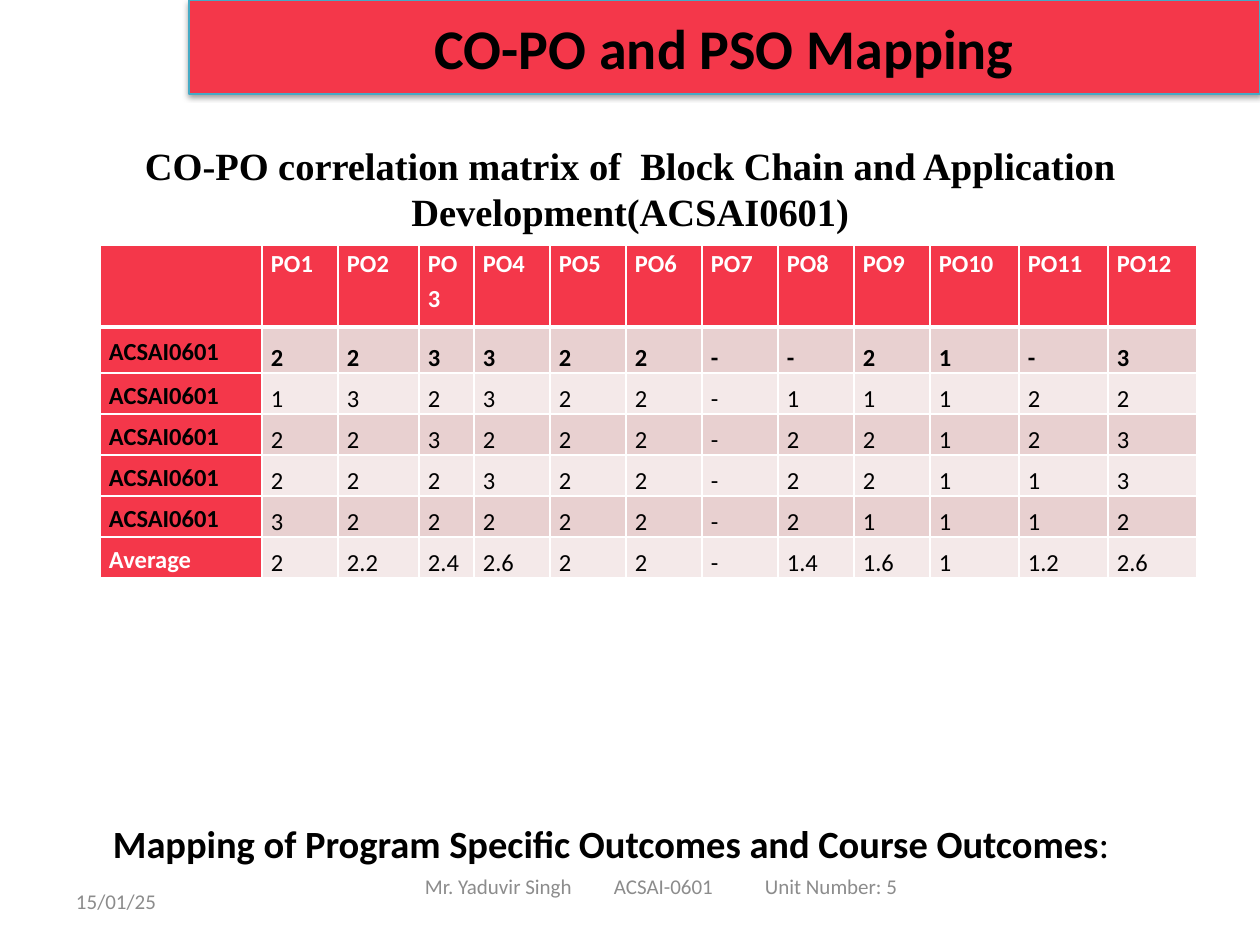
from typing import NamedTuple

from lxml.etree import SubElement
from pptx import Presentation
from pptx.dml.color import RGBColor as Rgb
from pptx.enum.shapes import MSO_SHAPE as Shape
from pptx.enum.text import MSO_ANCHOR as Anchor, PP_ALIGN as Align
from pptx.oxml.ns import qn
from pptx.util import Pt

EMU_PER_PX = 914400 / 126
COLORS = {
    "red": "F4374A", "edge": "46AAC5", "dark_band": "E8D0D0", "light_band": "F4E9E9",
    "white": "FFFFFF", "black": "000000", "gray": "8C8C8C",
}
COLUMN_WIDTHS = [162, 76, 81, 55] + [76] * 6 + [89] * 3
ROW_HEIGHTS = [82, 46] + [41] * 5
COURSE = "ACSAI0601"
HEADER = [""] + [f"PO{n}" for n in range(1, 13)]
MAPPING = [
    (COURSE, "2 2 3 3 2 2 - - 2 1 - 3"),
    (COURSE, "1 3 2 3 2 2 - 1 1 1 2 2"),
    (COURSE, "2 2 3 2 2 2 - 2 2 1 2 3"),
    (COURSE, "2 2 2 3 2 2 - 2 2 1 1 3"),
    (COURSE, "3 2 2 2 2 2 - 2 1 1 1 2"),
    ("Average", "2 2.2 2.4 2.6 2 2 - 1.4 1.6 1 1.2 2.6"),
]


class Box(NamedTuple):
    left: int
    top: int
    width: int
    height: int


class Style(NamedTuple):
    size: int
    color: str = "black"
    bold: bool = False
    font: str = "Calibri"


class Label(NamedTuple):
    box: Box
    runs: list[tuple[str, Style]]
    align: Align = Align.LEFT
    anchor: Anchor = Anchor.TOP
    inset: int = 13
    tabs: tuple[int, ...] = ()


FOOTER = Style(12, "gray")
HEADING = Style(22, bold=True)
LABELS = [
    Label(Box(63, 876, 294, 50), [("15/01/25", FOOTER)], anchor=Anchor.MIDDLE),
    Label(Box(63, 136, 1134, 106),
          [("CO-PO correlation matrix of  Block Chain and Application Development(ACSAI0601)",
            Style(22, bold=True, font="Times New Roman"))], Align.CENTER),
    Label(Box(100, 580, 1097, 292),
          [("Mapping of Program Specific Outcomes and Course Outcomes", HEADING),
           (":", Style(22))], anchor=Anchor.BOTTOM),
    Label(Box(315, 861, 693, 50), [("Mr. Yaduvir Singh\tACSAI-0601\tUnit Number: 5", FOOTER)],
          anchor=Anchor.MIDDLE, inset=110, tabs=(189, 340)),
]


def px(n: int) -> int:
    return round(n * EMU_PER_PX)


def rgb(name: str) -> Rgb:
    return Rgb.from_string(COLORS[name])


def add_run(p, text: str, style: Style) -> None:
    r = p.add_run()
    r.text = text
    r.font.size, r.font.bold, r.font.name = Pt(style.size), style.bold, style.font
    r.font.color.rgb = rgb(style.color)


def add_label(s, label: Label) -> None:
    tf = s.shapes.add_textbox(*map(px, label.box)).text_frame
    tf.word_wrap, tf.vertical_anchor = True, label.anchor
    tf.margin_left = px(label.inset)
    p = tf.paragraphs[0]
    p.alignment = label.align
    if label.tabs:
        stops = SubElement(p._p.get_or_add_pPr(), qn("a:tabLst"))
        for tab in label.tabs:
            SubElement(stops, qn("a:tab"), pos=str(px(tab)), algn="l")
    for text, style in label.runs:
        add_run(p, text, style)


def add_shadow(sp) -> None:
    """Give the shape a soft shadow straight below it."""
    sp.shadow.inherit = False
    effects = sp._element.spPr.find(qn("a:effectLst"))
    shadow = SubElement(effects, qn("a:outerShdw"), blurRad=str(Pt(3.1)), dist=str(Pt(1.6)),
                        dir="5400000", rotWithShape="0")
    color = SubElement(shadow, qn("a:srgbClr"), val=COLORS["black"])
    SubElement(color, qn("a:alpha"), val="38000")


def add_banner(s, box: Box, text: str) -> None:
    sp = s.shapes.add_shape(Shape.RECTANGLE, *map(px, box))
    add_shadow(sp)
    sp.fill.solid()
    sp.fill.fore_color.rgb = rgb("red")
    sp.line.color.rgb, sp.line.width = rgb("edge"), Pt(0.75)
    tf = sp.text_frame
    tf.word_wrap, tf.vertical_anchor = True, Anchor.MIDDLE
    p = tf.paragraphs[0]
    p.alignment = Align.CENTER
    add_run(p, text, Style(32, bold=True))


def set_borders(cell, row: int) -> None:
    """Draw white cell edges, with a thick rule under the header row."""
    widths = {"L": 1, "R": 1, "T": 3 if row == 1 else 1, "B": 3 if row == 0 else 1}
    for side, width in widths.items():
        ln = SubElement(cell._tc.get_or_add_tcPr(), qn(f"a:ln{side}"), w=str(Pt(width)))
        fill = SubElement(ln, qn("a:solidFill"))
        SubElement(fill, qn("a:srgbClr"), val=COLORS["white"])


def fill_cell(cell, row: int, col: int, text: str) -> None:
    is_value = row > 0 and col > 0
    set_borders(cell, row)
    cell.fill.solid()
    band = "dark_band" if row % 2 else "light_band"
    cell.fill.fore_color.rgb = rgb(band if is_value else "red")
    cell.margin_left = cell.margin_right = px(9)
    cell.margin_top = cell.margin_bottom = 0
    p = cell.text_frame.paragraphs[0]
    p.line_spacing = 1.15
    if row == 0:
        p.alignment = Align.JUSTIFY
    elif is_value:
        cell.vertical_anchor, p.space_after = Anchor.BOTTOM, Pt(10)
    else:
        cell.vertical_anchor = Anchor.MIDDLE
    if text:
        color = "white" if row == 0 or text == "Average" else "black"
        add_run(p, text, Style(14, color, bold=not is_value or row == 1))


def add_mapping_table(s, left: int, top: int) -> None:
    rows = [HEADER] + [[name, *values.split()] for name, values in MAPPING]
    box = Box(left, top, sum(COLUMN_WIDTHS), sum(ROW_HEIGHTS))
    table = s.shapes.add_table(len(rows), len(HEADER), *map(px, box)).table
    for column, width in zip(table.columns, COLUMN_WIDTHS):
        column.width = px(width)
    for i, (values, height) in enumerate(zip(rows, ROW_HEIGHTS)):
        table.rows[i].height = px(height)
        for j, text in enumerate(values):
            fill_cell(table.cell(i, j), i, j, text)


def main() -> None:
    prs = Presentation()
    prs.slide_width, prs.slide_height = px(1260), px(945)
    s = prs.slides.add_slide(prs.slide_layouts[6])
    add_mapping_table(s, 100, 245)
    add_banner(s, Box(189, 0, 1071, 94), "CO-PO and PSO Mapping")
    for label in LABELS:
        add_label(s, label)
    prs.save("out.pptx")


if __name__ == "__main__":
    main()
